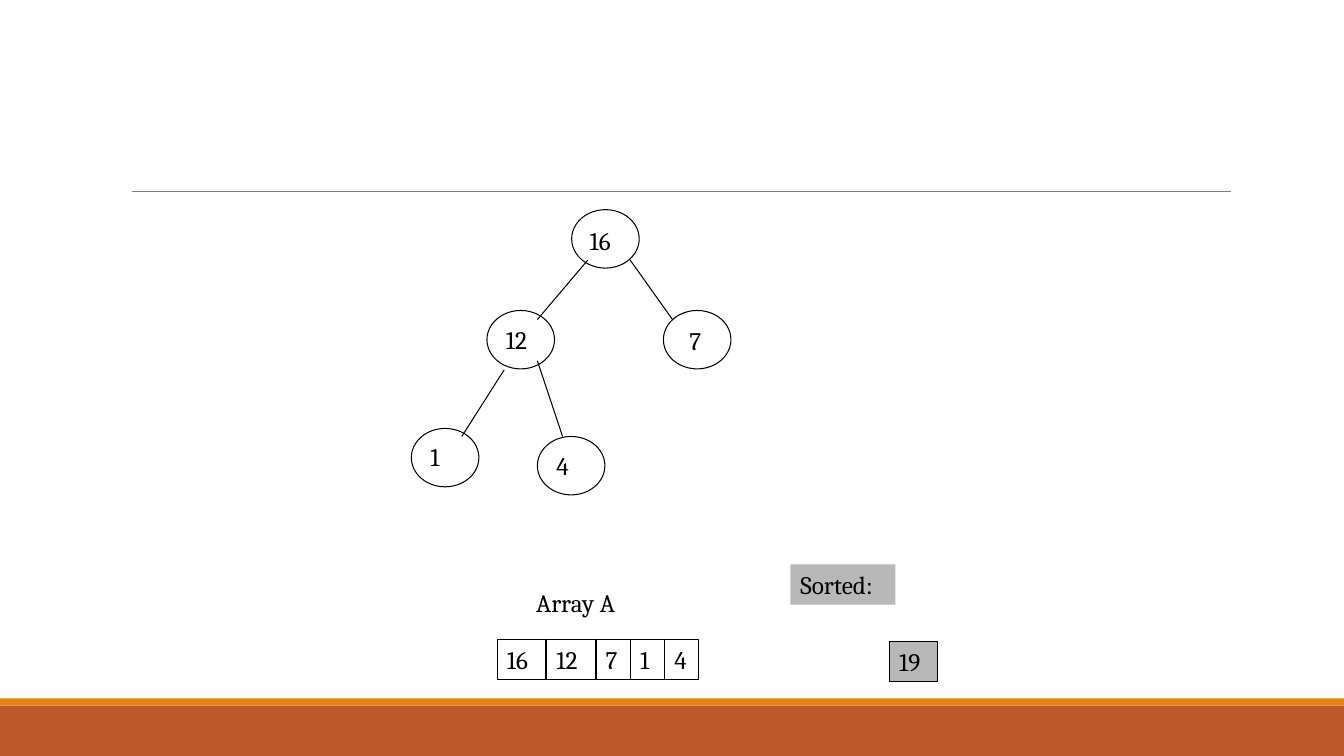
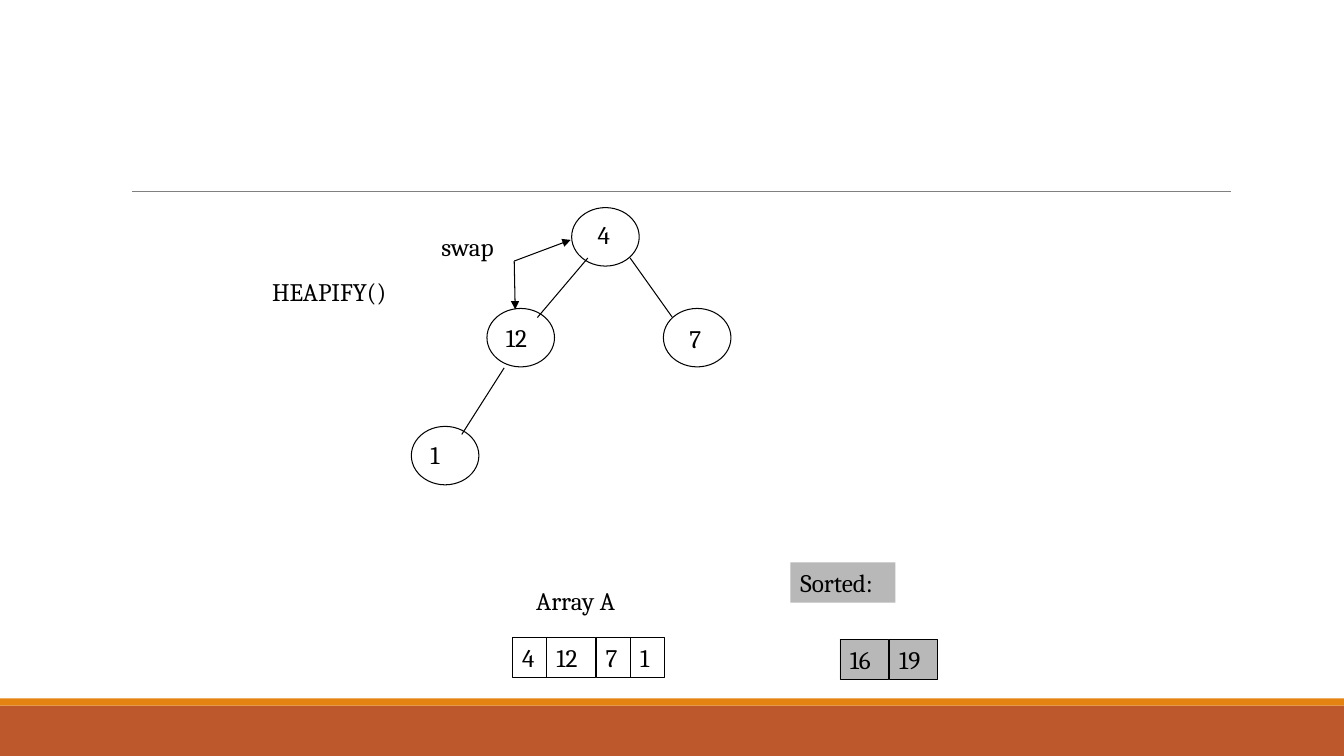
"""Build two heapsort slides: a heap, its array and the sorted values."""
from lxml.etree import SubElement
from pptx import Presentation
from pptx.dml.color import RGBColor
from pptx.enum.shapes import MSO_CONNECTOR as Connector, MSO_SHAPE as Shape
from pptx.enum.text import MSO_AUTO_SIZE as AutoSize, PP_ALIGN as Align
from pptx.oxml.ns import qn
from pptx.util import Inches, Pt

COLORS = {
    "ink": "000000",
    "rule": "808080",
    "band": "BD582C",
    "accent": "E48312",
    "sorted": "B8B8B8",
}
NODES = {
    "root": (5.67, 2.08),
    "left": (4.83, 3.08),
    "right": (6.58, 3.08),
    "left_left": (4.08, 4.25),
    "left_right": (5.33, 4.33),
}
EDGES = {
    "left": ((5.83, 2.58), (5.33, 3.17)),
    "right": ((6.25, 2.58), (6.67, 3.17)),
    "left_left": ((5, 3.67), (4.58, 4.33)),
    "left_right": ((5.33, 3.58), (5.58, 4.33)),
}


class HeapDeck:
    """Hold the deck style and draw on the current slide."""

    def __init__(self):
        """Start an empty widescreen presentation."""
        self.presentation = Presentation()
        self.presentation.slide_width = Inches(13.33)
        self.presentation.slide_height = Inches(7.5)
        self.slide = None
        self.shift = 0

    def add_slide(self, shift=0):
        """Add a slide with its bands and rule; shift moves the diagram down."""
        self.shift = 0
        self.slide = self.presentation.slides.add_slide(self.presentation.slide_layouts[6])
        self.shape(Shape.RECTANGLE, 0, 7, 13.33, 0.5, fill="band")
        self.shape(Shape.RECTANGLE, 0, 6.93, 13.33, 0.07, fill="accent")
        self.line((1.31, 1.9), (12.21, 1.9), "rule", 0.5)
        self.shift = shift

    def shape(self, kind, left, top, width, height, fill=None, line_width=None):
        """Draw a preset shape with an optional fill and outline."""
        shape = self.slide.shapes.add_shape(
            kind, Inches(left), Inches(top + self.shift), Inches(width), Inches(height))
        shape.shadow.inherit = False
        if fill:
            shape.fill.solid()
            shape.fill.fore_color.rgb = RGBColor.from_string(COLORS[fill])
        else:
            shape.fill.background()
        if line_width:
            shape.line.color.rgb = RGBColor.from_string(COLORS["ink"])
            shape.line.width = Pt(line_width)
        else:
            shape.line.fill.background()
        return shape

    def line(self, start, end, color="ink", width=0.75, arrow=False):
        """Draw a straight line, with an arrowhead at its end if asked."""
        (x1, y1), (x2, y2) = start, end
        connector = self.slide.shapes.add_connector(
            Connector.STRAIGHT, Inches(x1), Inches(y1 + self.shift),
            Inches(x2), Inches(y2 + self.shift))
        connector.line.color.rgb = RGBColor.from_string(COLORS[color])
        connector.line.width = Pt(width)
        properties = connector.element.spPr
        if arrow:
            SubElement(properties.find(qn("a:ln")), qn("a:tailEnd"), type="triangle")
        SubElement(properties, qn("a:effectLst"))

    def text(self, shape, words):
        """Set one left-aligned line of text in a shape."""
        frame = shape.text_frame
        frame.word_wrap = False
        frame.auto_size = AutoSize.SHAPE_TO_FIT_TEXT
        paragraph = frame.paragraphs[0]
        paragraph.alignment = Align.LEFT
        run = paragraph.add_run()
        run.text = words
        run.font.name = "Cambria"
        run.font.size = Pt(18)
        run.font.color.rgb = RGBColor.from_string(COLORS["ink"])

    def label(self, words, left, top, width):
        """Place a plain text label."""
        box = self.slide.shapes.add_textbox(
            Inches(left), Inches(top + self.shift), Inches(width), Inches(0.4))
        self.text(box, words)

    def heap(self, values):
        """Draw nodes from name: (value, label offset), and their edges."""
        for name, (value, (dx, dy)) in values.items():
            left, top = NODES[name]
            self.shape(Shape.OVAL, left, top, 0.67, 0.58, line_width=0.75)
            self.label(value, left + dx, top + dy, self.cell_width(value))
        for name in values:
            if name in EDGES:
                self.line(*EDGES[name])

    def cell_width(self, value):
        """Return the width that fits a one- or two-digit value."""
        return 0.34 if len(value) == 1 else 0.48

    def cells(self, values, left, top, fill=None):
        """Draw a row of adjoining value cells."""
        for value in values:
            width = self.cell_width(value)
            self.text(self.shape(Shape.RECTANGLE, left, top, width, 0.4, fill, 0.25), value)
            left += width + 0.01 * (len(value) - 1)

    def arrays(self, array, array_left, done, done_left):
        """Draw the remaining array and the sorted values with captions."""
        self.cells(array, array_left, 6.34)
        self.cells(done, done_left, 6.36, "sorted")
        self.label("Array A", 5.22, 5.78, 1.14)
        self.text(self.shape(Shape.RECTANGLE, 7.84, 5.6, 1.04, 0.4, "sorted"), "Sorted:")


def main():
    """Build and save the deck."""
    deck = HeapDeck()
    lower_nodes = {
        "left": ("12", (0.09, 0.09)),
        "right": ("7", (0.16, 0.1)),
        "left_left": ("1", (0.09, 0.08)),
    }

    deck.add_slide()
    deck.heap({"root": ("16", (0.08, 0.11)), **lower_nodes, "left_right": ("4", (0.09, 0.09))})
    deck.arrays(["16", "12", "7", "1", "4"], 4.93, ["19"], 8.82)

    deck.add_slide(shift=-0.02)
    deck.heap({"root": ("4", (0.16, 0.07)), **lower_nodes})
    deck.arrays(["4", "12", "7", "1"], 5.08, ["16", "19"], 8.33)
    deck.label("HEAPIFY()", 2.6, 2.71, 1.56)
    deck.label("swap", 4.28, 2.27, 0.8)
    for target in ((5.11, 3.09), (5.66, 2.4)):
        deck.line((5.1, 2.61), target, arrow=True)

    deck.presentation.save("out.pptx")


if __name__ == "__main__":
    main()
